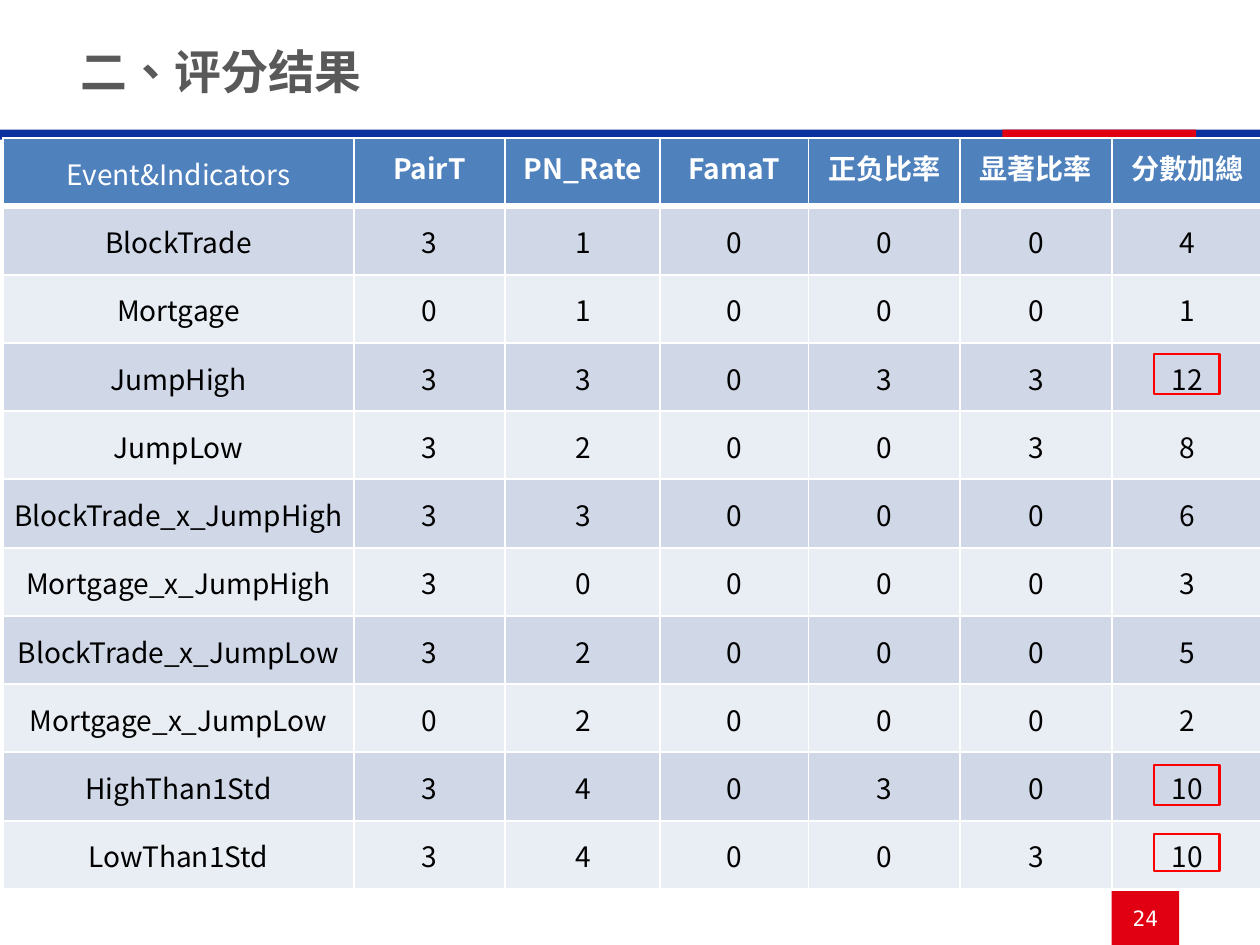
from lxml import etree
from pptx import Presentation
from pptx.dml.color import RGBColor
from pptx.enum import lang, shapes, text
from pptx.oxml import ns
from pptx.util import Inches, Pt

WHITE = RGBColor(0xFF, 0xFF, 0xFF)
BLACK = RGBColor(0, 0, 0)
GREY = RGBColor(0x59, 0x59, 0x59)
BLUE = RGBColor(0x0A, 0x31, 0x9D)
RED = RGBColor(0xE1, 0x00, 0x11)
MARK = RGBColor(0xFF, 0, 0)
HEAD = RGBColor(0x4F, 0x81, 0xBD)
BANDS = RGBColor(0xD0, 0xD8, 0xE8), RGBColor(0xE9, 0xED, 0xF4)
SANS = "Noto Sans CJK SC"

TITLES = ["Event&Indicators", "PairT", "PN_Rate", "FamaT", "正负比率", "显著比率", "分數加總"]
SCORES = [
    ("BlockTrade", 3, 1, 0, 0, 0, 4),
    ("Mortgage", 0, 1, 0, 0, 0, 1),
    ("JumpHigh", 3, 3, 0, 3, 3, 12),
    ("JumpLow", 3, 2, 0, 0, 3, 8),
    ("BlockTrade_x_JumpHigh", 3, 3, 0, 0, 0, 6),
    ("Mortgage_x_JumpHigh", 3, 0, 0, 0, 0, 3),
    ("BlockTrade_x_JumpLow", 3, 2, 0, 0, 0, 5),
    ("Mortgage_x_JumpLow", 0, 2, 0, 0, 0, 2),
    ("HighThan1Std", 3, 4, 0, 3, 0, 10),
    ("LowThan1Std", 3, 4, 0, 0, 3, 10),
]
WIDTHS = [2.08, 0.9, 0.92, 0.88, 0.9, 0.9, 0.9]
MARKS = [(2.1, 0.24), (4.54, 0.24), (4.95, 0.22)]


def style(para, size, face, color, bold=False):
    for run in para.runs:
        font = run.font
        font.size, font.name, font.bold = Pt(size), face, bold
        font.color.rgb = color


def add_box(slide, x, y, w, h, fill=None, line=None):
    box = slide.shapes.add_shape(
        shapes.MSO_SHAPE.RECTANGLE, Inches(x), Inches(y), Inches(w), Inches(h))
    box.shadow.inherit = False
    if fill is None:
        box.fill.background()
    else:
        box.fill.solid()
        box.fill.fore_color.rgb = fill
    if line is None:
        box.line.fill.background()
    else:
        box.line.color.rgb = line
        box.line.width = Pt(1)
    return box


def add_title(slide, words):
    frame = slide.shapes.add_textbox(
        Inches(0.38), Inches(0.24), Inches(4.41), Inches(0.4)).text_frame
    frame.word_wrap = True
    frame.vertical_anchor = text.MSO_ANCHOR.MIDDLE
    frame.text = words
    para = frame.paragraphs[0]
    para.line_spacing = 0.9
    style(para, 20, "Arial", GREY, True)
    para.runs[0].font.language_id = lang.MSO_LANGUAGE_ID.TRADITIONAL_CHINESE


def add_page(slide, number):
    frame = add_box(slide, 6.6, 5.29, 0.4, 0.32, RED).text_frame
    frame.margin_left = frame.margin_right = 0
    frame.vertical_anchor = text.MSO_ANCHOR.MIDDLE
    frame.text = number
    frame.paragraphs[0].alignment = text.PP_ALIGN.CENTER
    style(frame.paragraphs[0], 9, "DejaVu Sans Mono", WHITE)


def set_edges(cell, top, bottom):
    props = cell._tc.get_or_add_tcPr()
    for side, width in zip("LRTB", (1, 1, top, bottom)):
        edge = etree.SubElement(props, ns.qn("a:ln" + side), w=str(Pt(width)))
        fill = etree.SubElement(edge, ns.qn("a:solidFill"))
        etree.SubElement(fill, ns.qn("a:srgbClr"), val=str(WHITE))


def fill_cell(cell, value, row, col):
    head = row == 0
    set_edges(cell, 3 if row == 1 else 1, 3 if head else 1)
    cell.fill.solid()
    cell.fill.fore_color.rgb = HEAD if head else BANDS[(row - 1) % 2]
    bold = head and col > 0
    if not bold:
        cell.vertical_anchor = text.MSO_ANCHOR.MIDDLE
        cell.margin_left = cell.margin_right = cell.margin_top = Inches(0.01)
        cell.margin_bottom = 0
    cell.text_frame.text = str(value)
    para = cell.text_frame.paragraphs[0]
    para.alignment = text.PP_ALIGN.CENTER
    style(para, 12, SANS, WHITE if head else BLACK, bold)


def add_scores(slide):
    rows = [TITLES, *SCORES]
    table = slide.shapes.add_table(
        len(rows), len(TITLES), Inches(0.02), Inches(0.82),
        Inches(7.48), Inches(4.46)).table
    for col, width in zip(table.columns, WIDTHS):
        col.width = Inches(width)
    for row, values in enumerate(rows):
        for col, value in enumerate(values):
            fill_cell(table.cell(row, col), value, row, col)


def main():
    deck = Presentation()
    deck.slide_width, deck.slide_height = Inches(7.48), Inches(5.61)
    slide = deck.slides.add_slide(deck.slide_layouts[6])
    add_box(slide, 0, 0.77, 7.48, 0.06, BLUE)
    add_box(slide, 5.95, 0.77, 1.15, 0.06, RED)
    add_title(slide, "二、评分结果")
    add_page(slide, "24")
    add_scores(slide)
    for top, height in MARKS:
        add_box(slide, 6.85, top, 0.39, height, line=MARK)
    deck.save("out.pptx")


if __name__ == "__main__":
    main()
